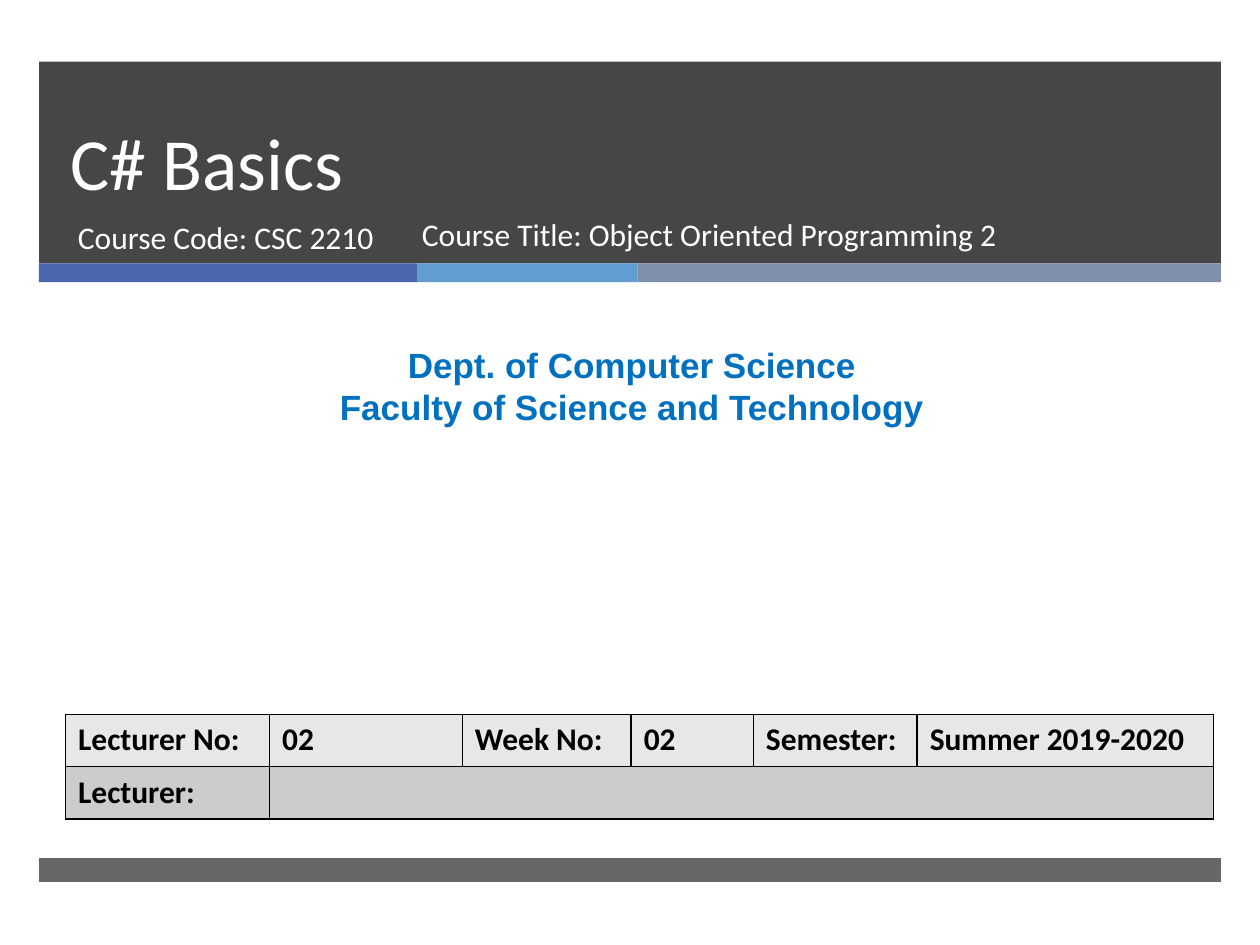
from dataclasses import dataclass
from itertools import accumulate
from typing import Any

from lxml import etree
from pptx import Presentation
from pptx.dml.color import RGBColor
from pptx.enum import shapes, text
from pptx.oxml import ns
from pptx.util import Inches, Pt

COLORS = {
    "dark": "262626", "blue": "4A66AC", "sky": "629DD1", "slate": "7F8FA9",
    "white": "FFFFFF", "black": "000000", "accent": "0070C0",
    "header": "E7E7E7", "row": "CCCCCC",
}
TITLE = {"name": "Calibri", "size": Pt(42), "color": "white"}
COURSE = {"name": "Calibri", "size": Pt(18), "color": "white"}
DEPARTMENT = {"name": "Arial", "size": Pt(20), "bold": True, "color": "accent"}
CELL = {"name": "Calibri", "size": Pt(18), "bold": True, "color": "black"}


@dataclass
class SlideBuilder:
    slide: Any
    colors: dict

    def rgb(self, name):
        return RGBColor.from_string(self.colors[name])

    def paint(self, fill, name):
        fill.solid()
        fill.fore_color.rgb = self.rgb(name)

    def format(self, font, style):
        for key, value in style.items():
            if key == "color":
                font.color.rgb = self.rgb(value)
            else:
                setattr(font, key, value)

    def bar(self, box, color, opacity=100):
        bar = self.slide.shapes.add_shape(
            shapes.MSO_SHAPE.RECTANGLE, *map(Inches, box))
        bar.shadow.inherit = False
        self.paint(bar.fill, color)
        bar.line.fill.background()
        if opacity < 100:
            tint = bar.fill._xPr.find(".//" + ns.qn("a:srgbClr"))
            etree.SubElement(tint, ns.qn("a:alpha"), val=str(opacity * 1000))

    def label(self, box, lines, style, frame_format=None, paragraph_format=None):
        frame = self.slide.shapes.add_textbox(*map(Inches, box)).text_frame
        for key, value in {"word_wrap": True, **(frame_format or {})}.items():
            setattr(frame, key, value)
        frame.text = "\n".join(lines)
        for paragraph in frame.paragraphs:
            for key, value in (paragraph_format or {}).items():
                setattr(paragraph, key, value)
            self.format(paragraph.runs[0].font, style)

    def border(self, cell):
        properties = cell._tc.get_or_add_tcPr()
        for side in ("lnL", "lnR", "lnT", "lnB"):
            line = etree.SubElement(properties, ns.qn(f"a:{side}"), w=str(Pt(1)))
            fill = etree.SubElement(line, ns.qn("a:solidFill"))
            etree.SubElement(fill, ns.qn("a:srgbClr"), val=self.colors["black"])

    def table(self, corner, widths, height, rows, fills, style):
        size = (sum(widths), height * len(rows))
        table = self.slide.shapes.add_table(
            len(rows), len(widths), *map(Inches, (*corner, *size))).table
        for column, width in zip(table.columns, widths):
            column.width = Inches(width)
        for r, (values, fill) in enumerate(zip(rows, fills)):
            table.rows[r].height = Inches(height)
            for c in range(len(widths)):
                cell = table.cell(r, c)
                self.border(cell)
                self.paint(cell.fill, fill)
                if c < len(values):
                    cell.text = values[c]
                self.format(cell.text_frame.paragraphs[0].font, style)
        return table


def main():
    deck = Presentation()
    deck.slide_width, deck.slide_height = Inches(10), Inches(7.5)
    builder = SlideBuilder(deck.slides.add_slide(deck.slide_layouts[6]), COLORS)

    left, width = 0.31, 9.38
    builder.bar((left, 0.49, width, 1.6), "dark", 85)
    stripe_widths = (3, 1.75, 4.63)
    stripe_lefts = accumulate(stripe_widths, initial=left)
    for x, stripe, color in zip(stripe_lefts, stripe_widths, ("blue", "sky", "slate")):
        builder.bar((x, 2.09, stripe, 0.15), color)
    builder.bar((left, 6.81, width, 0.19), "dark", 70)

    builder.label((0.46, 0.49, 8.54, 1.19), ["C# Basics"], TITLE,
                  {"vertical_anchor": text.MSO_ANCHOR.BOTTOM},
                  {"line_spacing": Pt(46)})
    builder.label((0.52, 1.68, 3.05, 0.53), ["Course Code: CSC 2210"], COURSE)
    builder.label((3.25, 1.66, 5.11, 0.53),
                  ["Course Title: Object Oriented Programming 2"], COURSE)
    builder.label((0.08, 2.68, 9.87, 0.77),
                  ["Dept. of Computer Science", "Faculty of Science and Technology"],
                  DEPARTMENT, {"auto_size": text.MSO_AUTO_SIZE.SHAPE_TO_FIT_TEXT},
                  {"alignment": text.PP_ALIGN.CENTER})

    lecture = builder.table(
        (0.52, 5.67), (1.62, 1.53, 1.34, 0.97, 1.3, 2.35), 0.415,
        [["Lecturer No:", "02", "Week No:", "02", "Semester:", "Summer 2019-2020"],
         ["Lecturer:"]],
        ("header", "row"), CELL)
    lecture.cell(1, 1).merge(lecture.cell(1, 5))

    deck.save("out.pptx")


if __name__ == "__main__":
    main()
